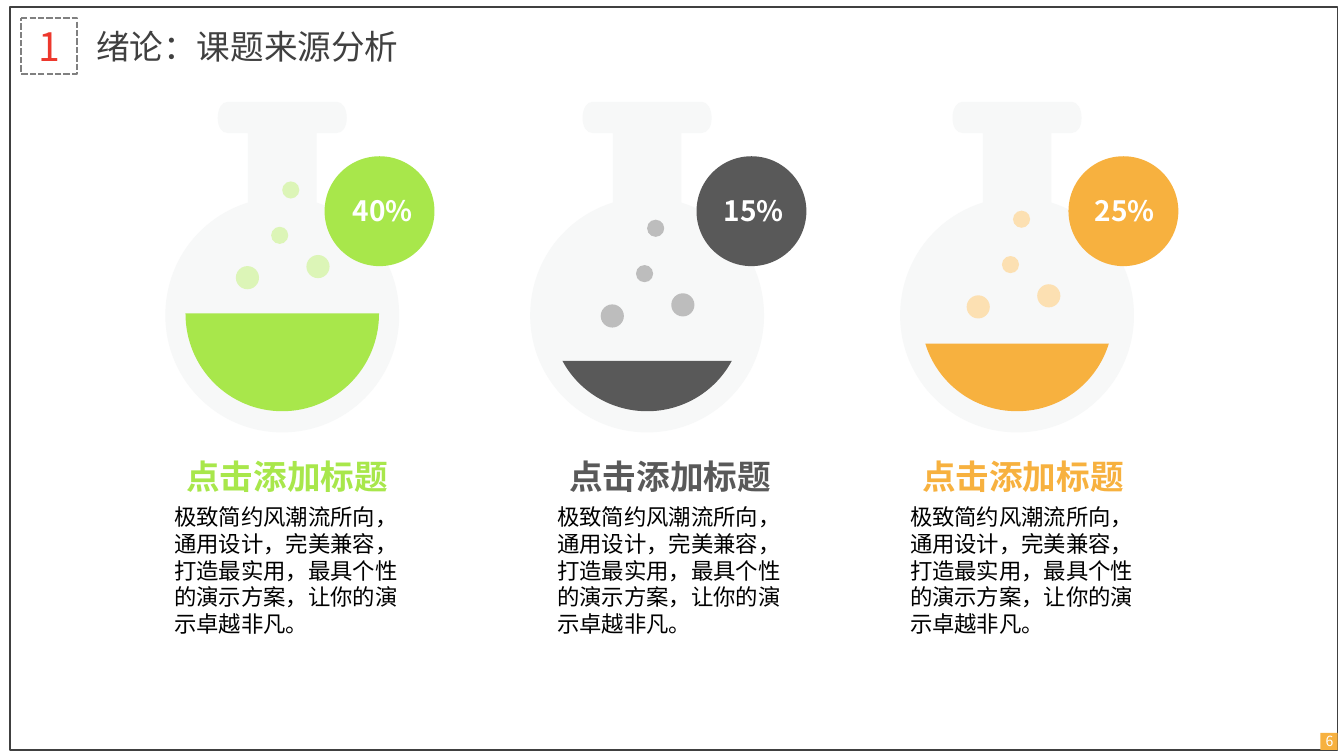
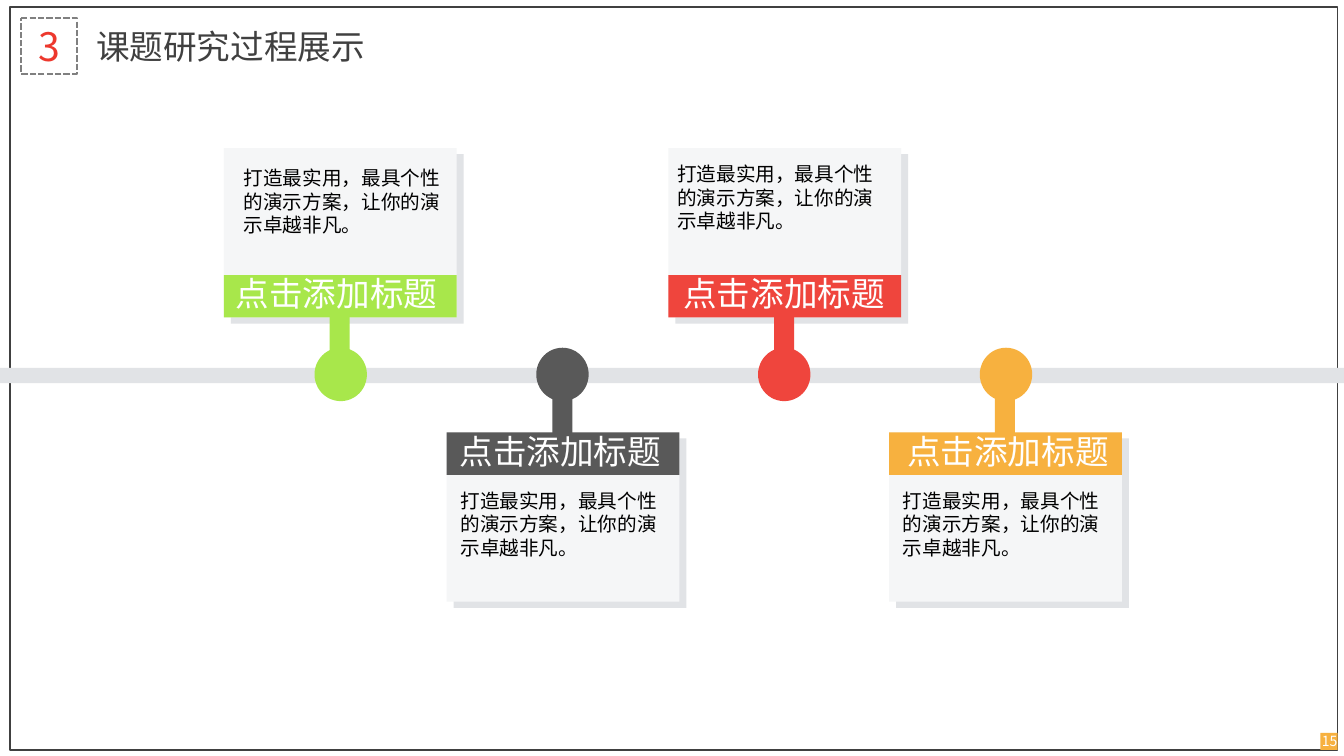
from lxml import etree
from pptx import Presentation
from pptx.dml.color import RGBColor
from pptx.enum.dml import MSO_LINE
from pptx.enum.shapes import MSO_SHAPE
from pptx.enum.text import MSO_ANCHOR, MSO_AUTO_SIZE, PP_ALIGN
from pptx.oxml.ns import qn
from pptx.util import Inches, Pt

GREEN, GRAY, RED, ORANGE = "A8E74B", "595959", "EF453D", "F7B13F"
DARK, WHITE, BLACK = "404040", "FFFFFF", "000000"
GLASS, RAIL, CARD = "F7F8F8", "E1E3E6", "F5F6F7"
BODY_FONT, HEADING_FONT = "Noto Sans CJK SC", "Quicksand"
HEADING = "点击添加标题"


def paint(shape, fill=None, line=None, width=1):
    """Set fill and outline from hex strings; None means no paint."""
    shape.shadow.inherit = False
    if fill:
        shape.fill.solid()
        shape.fill.fore_color.rgb = RGBColor.from_string(fill)
    else:
        shape.fill.background()
    if line:
        shape.line.color.rgb = RGBColor.from_string(line)
        shape.line.width = Pt(width)
    else:
        shape.line.fill.background()
    return shape


def write(shape, text, size=16, color=BLACK, font=BODY_FONT, bold=False, wrap=True, grow=True,
          align=PP_ALIGN.LEFT, anchor=MSO_ANCHOR.TOP, insets=(0.1, 0.05, 0.1, 0.05)):
    """Put one paragraph into a shape; insets are left, top, right, bottom in inches."""
    frame = shape.text_frame
    frame.word_wrap = wrap
    frame.auto_size = MSO_AUTO_SIZE.SHAPE_TO_FIT_TEXT if grow else MSO_AUTO_SIZE.NONE
    frame.vertical_anchor = anchor
    frame.margin_left, frame.margin_top, frame.margin_right, frame.margin_bottom = map(Inches, insets)
    paragraph = frame.paragraphs[0]
    paragraph.alignment = align
    run = paragraph.add_run()
    run.text = text
    run.font.size = Pt(size)
    run.font.bold = bold
    run.font.name = font
    run.font.color.rgb = RGBColor.from_string(color)
    east_asian = run.font._element.makeelement(qn("a:ea"), {"typeface": BODY_FONT})
    run.font._element.find(qn("a:latin")).addnext(east_asian)


presentation = Presentation()
presentation.slide_width = Inches(40 / 3)
presentation.slide_height = Inches(7.5)

# Frame, section number, title and page number on every slide
slides = []
for section, title, page in [("1", "绪论：课题来源分析", "6"), ("3", "课题研究过程展示", "15")]:
    slide = presentation.slides.add_slide(presentation.slide_layouts[6])
    shapes = slide.shapes
    paint(shapes.add_shape(MSO_SHAPE.RECTANGLE, Inches(0.1), Inches(0.07), Inches(13.17), Inches(7.37)),
          line=DARK)
    section_box = paint(
        shapes.add_shape(MSO_SHAPE.ROUNDED_RECTANGLE, Inches(0.21), Inches(0.18), Inches(0.55), Inches(0.55)),
        line="808080", width=1.5)
    section_box.adjustments[0] = 0
    section_box.line.dash_style = MSO_LINE.SQUARE_DOT
    write(section_box, section, size=28, color="ED382D", grow=False, align=PP_ALIGN.CENTER,
          anchor=MSO_ANCHOR.MIDDLE, insets=(0, 0, 0, 0))
    title_box = paint(
        shapes.add_shape(MSO_SHAPE.ROUNDED_RECTANGLE, Inches(0.84), Inches(0.18), Inches(3.59), Inches(0.55)))
    title_box.adjustments[0] = 0.09
    write(title_box, title, size=24, color=DARK, grow=False, anchor=MSO_ANCHOR.MIDDLE)
    paint(shapes.add_shape(MSO_SHAPE.RECTANGLE, Inches(13.1), Inches(7.27), Inches(0.17), Inches(0.17)),
          fill=ORANGE)
    write(shapes.add_textbox(Inches(12.97), Inches(7.27), Inches(0.44), Inches(0.17)), page,
          size=10, color=WHITE, grow=False, align=PP_ALIGN.CENTER, anchor=MSO_ANCHOR.MIDDLE)
    slides.append(slide)

flask_slide, timeline_slide = slides

# Flasks: after the start point, every three points form one Bézier curve.
# x is measured from the flask's centre line.
shapes = flask_slide.shapes
NECK_AND_LIP = [
    (0.34, 2.01),
    (0.34, 1.32), (0.34, 1.32), (0.34, 1.32),
    (0.54, 1.32), (0.54, 1.32), (0.54, 1.32),
    (0.6, 1.32), (0.64, 1.26), (0.64, 1.17),
    (0.64, 1.08), (0.6, 1.01), (0.54, 1.01),
]
BULB_HALF = [(-0.82, 2.16), (-1.16, 2.6), (-1.16, 3.13), (-1.16, 3.77), (-0.64, 4.29), (0, 4.29)]
LIP_END = (-0.54, 1.01)
FLASK = (NECK_AND_LIP + [LIP_END] * 3
         + [(-x, y) for x, y in NECK_AND_LIP[-2::-1]]
         + BULB_HALF
         + [(-x, y) for x, y in BULB_HALF[-2::-1]]
         + NECK_AND_LIP[:1])
BUBBLES = [(0, 0, 0.23), (0.7, -0.11, 0.23), (0.35, -0.39, 0.17), (0.46, -0.84, 0.17)]
FLASK_TEXT = "极致简约风潮流所向，通用设计，完美兼容，打造最实用，最具个性的演示方案，让你的演示卓越非凡。"

# centre, left half of the liquid, bubble left and top, text left, percentage, colour, bubble colour
flasks = [
    (2.8, [(-0.96, 3.11), (-0.96, 3.65), (-0.53, 4.08), (0, 4.08)],
     2.34, 2.64, 1.63, "40%", GREEN, "DCF5B7"),
    (6.42, [(-0.84, 3.58), (-0.68, 3.88), (-0.36, 4.08), (0, 4.08)],
     5.96, 3.02, 5.43, "15%", GRAY, "BDBDBD"),
    (10.09, [(-0.91, 3.41), (-0.79, 3.8), (-0.43, 4.08), (0, 4.08)],
     9.59, 2.93, 8.93, "25%", ORANGE, "FCE0B2"),
]
for index, (center, half, bubble_left, bubble_top, text_left, percentage, color, pale) in enumerate(flasks):
    liquid = half + [(-x, y) for x, y in half[-2::-1]]
    for points, fill, closed in [(FLASK, GLASS, False), (liquid, color, True)]:
        corners = [(Inches(center + x), Inches(y)) for x, y in points]
        builder = shapes.build_freeform(*corners[0])
        builder.add_line_segments(corners[1:], close=closed)
        freeform = paint(builder.convert_to_shape(), fill=fill)
        segments = list(freeform._element.iter(qn("a:lnTo")))
        for first in range(0, len(segments), 3):
            curve = etree.Element(qn("a:cubicBezTo"))
            segments[first].addprevious(curve)
            for segment in segments[first:first + 3]:
                curve.append(segment[0])
                segment.getparent().remove(segment)

    for x, y, size in BUBBLES:
        paint(shapes.add_shape(MSO_SHAPE.OVAL, Inches(bubble_left + x), Inches(bubble_top + y),
                               Inches(size), Inches(size)), fill=pale)

    paint(shapes.add_shape(MSO_SHAPE.OVAL, Inches(3.22 + 3.69 * index), Inches(1.55),
                           Inches(1.09), Inches(1.09)), fill=color)
    write(shapes.add_textbox(Inches(text_left), Inches(4.94), Inches(2.57), Inches(1.45)), FLASK_TEXT)
    write(shapes.add_textbox(Inches(text_left + 0.12), Inches(4.47), Inches(2.22), Inches(0.5)), HEADING,
          size=24, color=color, font=HEADING_FONT, bold=True, wrap=False)
    write(shapes.add_textbox(Inches(3.4 + 3.68 * index), Inches(1.87), Inches(0.82), Inches(0.44)), percentage,
          size=20, color=WHITE, bold=True)

# Timeline: cards alternate above and below the rail
shapes = timeline_slide.shapes
CARD_WIDTH, CARD_HEIGHT, BAND_HEIGHT = 2.31, 1.68, 0.42
CARD_TEXT = "打造最实用，最具个性的演示方案，让你的演示卓越非凡。"
paint(shapes.add_shape(MSO_SHAPE.RECTANGLE, 0, Inches(3.65), presentation.slide_width, Inches(0.15)),
      fill=RAIL)

# colour, card left, text left, text top
milestones = [
    (GREEN, 2.22, 2.32, 1.6),
    (GRAY, 4.43, 4.47, 4.8),
    (RED, 6.63, 6.62, 1.56),
    (ORANGE, 8.82, 8.86, 4.8),
]
for index, (color, left, text_left, text_top) in enumerate(milestones):
    above = index % 2 == 0
    top = 1.47 if above else 4.29
    band_top = top + CARD_HEIGHT - BAND_HEIGHT if above else top
    stem_top = 3.03 if above else 3.83
    parts = [
        (MSO_SHAPE.OVAL, 3.12 + 2.2 * index, 3.45, 0.52, 0.53, color),
        (MSO_SHAPE.RECTANGLE, left + 0.07, top + 0.06, CARD_WIDTH, CARD_HEIGHT, RAIL),
        (MSO_SHAPE.RECTANGLE, left, top, CARD_WIDTH, CARD_HEIGHT, CARD),
        (MSO_SHAPE.RECTANGLE, left, band_top, CARD_WIDTH, BAND_HEIGHT, color),
        (MSO_SHAPE.RECTANGLE, left + 1.05, stem_top, 0.2, 0.58, color),
    ]
    for kind, x, y, width, height, fill in parts:
        paint(shapes.add_shape(kind, Inches(x), Inches(y), Inches(width), Inches(height)), fill=fill)
    heading_top = 2.66 if above else 4.23
    write(shapes.add_textbox(Inches(2.24 + 2.22 * index), Inches(heading_top), Inches(2.22), Inches(0.5)),
          HEADING, size=24, color=WHITE, font=HEADING_FONT, wrap=False)
    write(shapes.add_textbox(Inches(text_left), Inches(text_top), Inches(2.3), Inches(0.81)), CARD_TEXT, size=14)

presentation.save("out.pptx")
